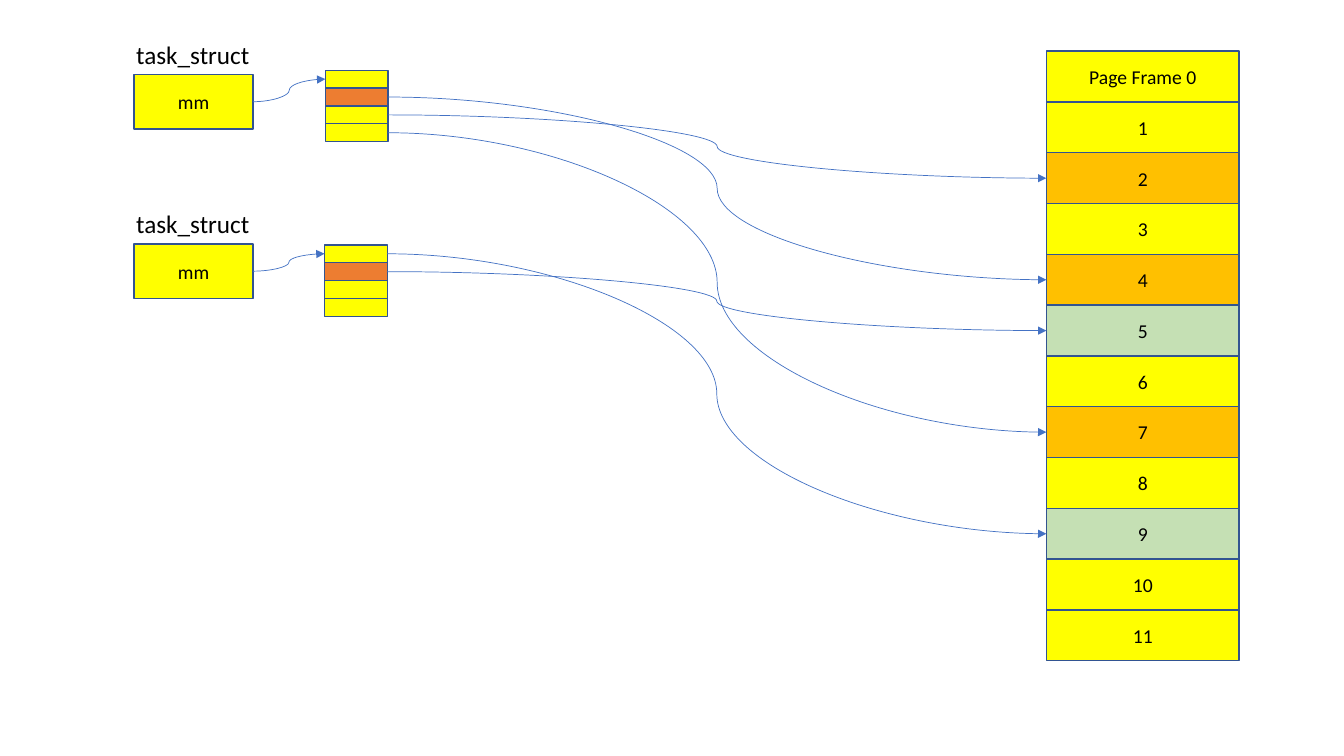
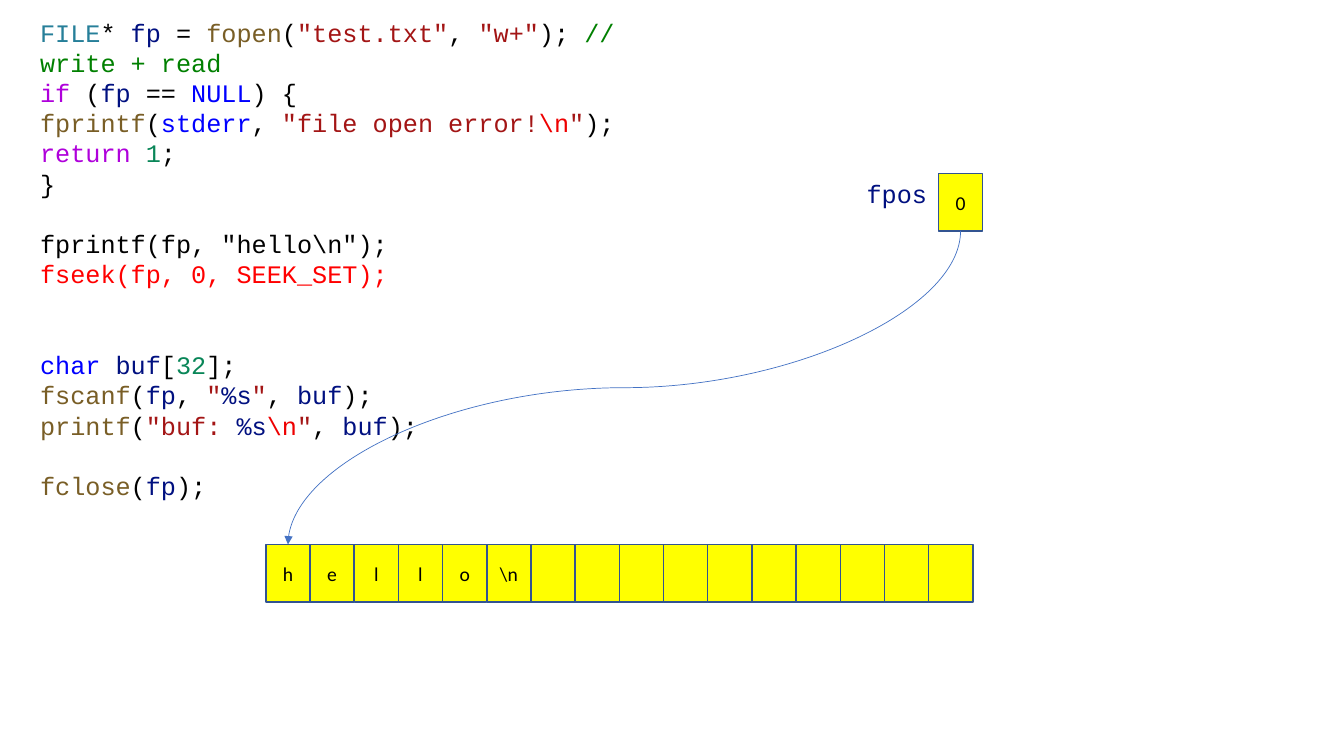
"""Build two diagrams: process page mapping and a C file position."""
from pptx import Presentation
from pptx.dml.color import RGBColor
from pptx.enum.shapes import MSO_CONNECTOR as Connector, MSO_SHAPE as Preset
from pptx.enum.text import MSO_ANCHOR as Anchor, PP_ALIGN as Align
from pptx.oxml.ns import qn
from pptx.oxml.xmlchemy import OxmlElement
from pptx.util import Cm, Pt

COLORS = {
    "black": "000000", "yellow": "FFFF00", "amber": "FFC000", "orange": "ED7D31",
    "green": "C5E0B4", "border": "325491", "arrow": "4472C4",
    "type": "267F99", "variable": "001080", "function": "795E26",
    "string": "A31515", "comment": "008000", "control": "AF00DB",
    "keyword": "0000FF", "escape": "EE0000", "number": "098658", "red": "FF0000",
}
TOP, LEFT, BOTTOM, RIGHT = range(4)

CODE = [
    (0, [("FILE", "type"), ("* ", "black"), ("fp", "variable"), (" = ", "black"),
         ("fopen", "function"), ("(", "black"), ('"test.txt"', "string"),
         (", ", "black"), ('"w+"', "string"), ("); ", "black"),
         ("// write + read", "comment")]),
    (0, [("if", "control"), (" (", "black"), ("fp", "variable"), (" == ", "black"),
         ("NULL", "keyword"), (") {", "black")]),
    (0, [("fprintf", "function"), ("(", "black"), ("stderr", "keyword"),
         (", ", "black"), ('"file open error!', "string"), ("\\n", "escape"),
         ('"', "string"), (");", "black")]),
    (0, [("return ", "control"), ("1", "number"), (";", "black")]),
    (0, [("}", "black")]),
    (1, [('fprintf(fp, "hello\\n");', "black")]),
    (0, [("fseek(fp, 0, SEEK_SET);", "red")]),
    (2, [("char ", "keyword"), ("buf", "variable"), ("[", "black"),
         ("32", "number"), ("];", "black")]),
    (0, [("fscanf", "function"), ("(", "black"), ("fp", "variable"), (", ", "black"),
         ('"', "string"), ("%s", "variable"), ('"', "string"), (", ", "black"),
         ("buf", "variable"), (");", "black")]),
    (0, [("printf", "function"), ("(", "black"), ('"buf: ', "string"),
         ("%s", "variable"), ("\\n", "escape"), ('"', "string"), (", ", "black"),
         ("buf", "variable"), (");", "black")]),
    (1, [("fclose", "function"), ("(", "black"), ("fp", "variable"), (");", "black")]),
]


class Deck:
    """Hold the presentation, its style and the current slide."""

    sans, mono = "Calibri", "Courier New"
    box_size, text_size, code_pitch = 14, 18, 21.6

    def __init__(self):
        """Start an empty widescreen presentation."""
        self.presentation = Presentation()
        self.presentation.slide_width = Cm(33.87)
        self.presentation.slide_height = Cm(19.05)
        self.slide = None

    def new_slide(self):
        """Add a blank slide and make it current."""
        self.slide = self.presentation.slides.add_slide(self.presentation.slide_layouts[6])

    def color(self, name):
        """Return a named colour."""
        return RGBColor.from_string(COLORS[name])

    def style(self, run, size, font, color="black"):
        """Format one run."""
        run.font.size, run.font.name = Pt(size), font
        run.font.color.rgb = self.color(color)

    def box(self, left, top, width, height, text="", fill="yellow"):
        """Add a bordered rectangle with optional centred text."""
        shape = self.slide.shapes.add_shape(
            Preset.RECTANGLE, Cm(left), Cm(top), Cm(width), Cm(height))
        shape.shadow.inherit = False
        shape.fill.solid()
        shape.fill.fore_color.rgb = self.color(fill)
        shape.line.color.rgb = self.color("border")
        shape.line.width = Pt(1)
        if text:
            shape.text_frame.text = text
            shape.text_frame.vertical_anchor = Anchor.MIDDLE
            paragraph = shape.text_frame.paragraphs[0]
            paragraph.alignment = Align.CENTER
            self.style(paragraph.runs[0], self.box_size, self.sans)
        return shape

    def label(self, left, top, width, text, font=sans, color="black", align=Align.CENTER):
        """Add a one-line label."""
        shape = self.slide.shapes.add_textbox(Cm(left), Cm(top), Cm(width), Cm(1.02))
        shape.text_frame.word_wrap = False
        shape.text_frame.text = text
        paragraph = shape.text_frame.paragraphs[0]
        paragraph.alignment = align
        self.style(paragraph.runs[0], self.text_size, font, color)

    def code(self, left, top, width, height, lines):
        """Add highlighted source code with gaps counted in lines."""
        shape = self.slide.shapes.add_textbox(Cm(left), Cm(top), Cm(width), Cm(height))
        frame = shape.text_frame
        frame.word_wrap = True
        for index, (gap, tokens) in enumerate(lines):
            paragraph = frame.add_paragraph() if index else frame.paragraphs[0]
            paragraph.line_spacing = Pt(self.code_pitch)
            paragraph.space_before = Pt(gap * self.code_pitch)
            for text, color in tokens:
                run = paragraph.add_run()
                run.text = text
                self.style(run, self.text_size, self.mono, color)

    def arrow(self, source, target, start=RIGHT, end=LEFT):
        """Join two boxes with a thin curved arrow."""
        connector = self.slide.shapes.add_connector(Connector.CURVE, 0, 0, 0, 0)
        connector.begin_connect(source, start)
        connector.end_connect(target, end)
        connector.line.color.rgb = self.color("arrow")
        connector.line.width = Pt(0.5)
        properties = connector._element.spPr
        tail = OxmlElement("a:tailEnd")
        tail.set("type", "triangle")
        properties.find(qn("a:ln")).append(tail)
        properties.append(OxmlElement("a:effectLst"))
        if start == BOTTOM:
            self.turn(connector)

    def turn(self, connector):
        """Turn a curve that runs down and left so that it leaves vertically."""
        width, height = connector.width, connector.height
        connector.left += (width - height) // 2
        connector.top += (height - width) // 2
        connector.width, connector.height = height, width
        transform = connector._element.spPr.find(qn("a:xfrm"))
        transform.attrib.pop("flipH", None)
        transform.set("rot", "5400000")


def build_memory(deck):
    """Draw two processes whose pages map to page frames."""
    deck.new_slide()
    frame_fills = {2: "amber", 4: "amber", 7: "amber", 5: "green", 9: "green"}
    frames = [
        deck.box(26.37, 1.29 + 1.28 * number, 4.86, 1.28,
                 str(number) if number else "Page Frame 0",
                 frame_fills.get(number, "yellow"))
        for number in range(12)]
    processes = [
        (1.88, 8.2, 1.77, {2: 2, 1: 4, 3: 7}),
        (6.15, 8.18, 6.17, {0: 9, 1: 5}),
    ]
    for top, table_left, table_top, mapping in processes:
        task = deck.box(3.38, top, 3, 1.37, "mm")
        deck.label(3.17, top - 1.02, 3.38, "task_struct")
        pages = [
            deck.box(table_left, table_top + 0.45 * page, 1.58, 0.45,
                     fill="orange" if page == 1 else "yellow")
            for page in range(4)]
        deck.arrow(task, pages[0])
        for page, frame in mapping.items():
            deck.arrow(pages[page], frames[frame])


def build_file(deck):
    """Draw the file code, its buffer and the file position."""
    deck.new_slide()
    deck.code(0.76, 0.3, 17.2, 12.57, CODE)
    count = 16
    width, height = 17.82 / count, 1.45
    characters = [*"hello", "\\n"]
    characters += [""] * (count - len(characters))
    cells = [deck.box(6.7 + width * index, 13.72, width, height, character)
             for index, character in enumerate(characters)]
    position = deck.box(23.65, 4.37, width, height, "0")
    deck.label(21.59, 4.37, 2.06, "fpos", deck.mono, "variable", Align.LEFT)
    deck.arrow(position, cells[0], BOTTOM, TOP)


def main():
    """Build and save the presentation."""
    deck = Deck()
    build_memory(deck)
    build_file(deck)
    deck.presentation.save("out.pptx")


if __name__ == "__main__":
    main()
